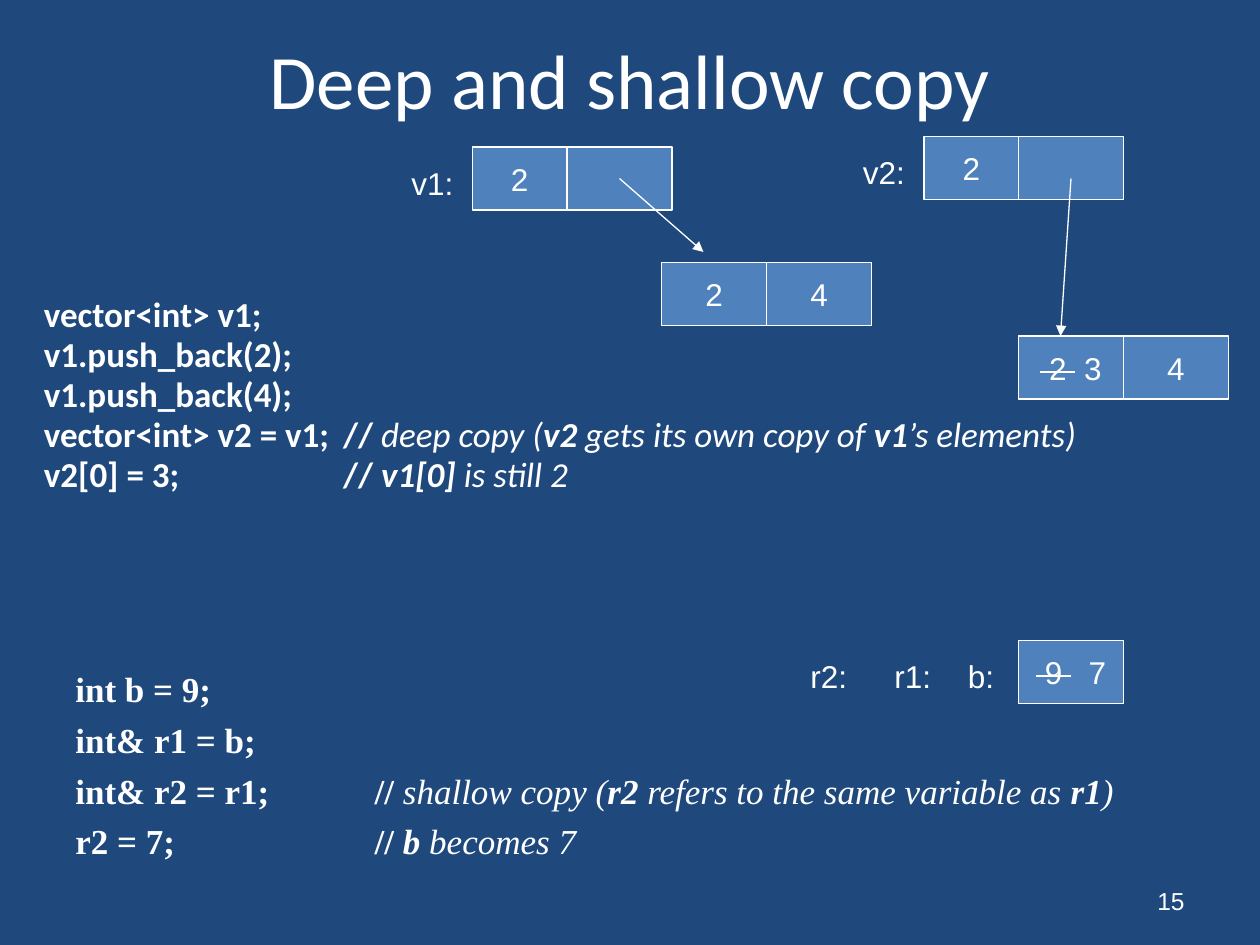
"""Build the slide that compares deep and shallow copies."""
from dataclasses import dataclass

from lxml.etree import SubElement
from pptx import Presentation
from pptx.dml.color import RGBColor
from pptx.enum.shapes import MSO_CONNECTOR as Line, MSO_SHAPE as Shape
from pptx.enum.text import MSO_ANCHOR as Anchor, MSO_AUTO_SIZE as AutoSize, PP_ALIGN as Align
from pptx.oxml.ns import qn
from pptx.util import Pt

COLORS = {"back": "1F497D", "cell": "4F81BD", "white": "FFFFFF"}
CELL_HEIGHT = 36
LABEL_WIDTH, LABEL_HEIGHT = 48, 28.8
INDENT = 27


@dataclass
class Span:
    text: str
    bold: bool = False
    italic: bool = False
    strike: bool = False


@dataclass
class Cell:
    left: float
    top: float
    spans: list[Span]
    width: float = 60


@dataclass
class Label:
    text: str
    left: float
    top: float


@dataclass
class Arrow:
    start: tuple[float, float]
    end: tuple[float, float]


@dataclass
class TextBox:
    place: tuple[float, float, float, float]
    lines: list[list[Span]]
    font: dict
    frame: dict
    para: dict
    code: bool = False


def color(name: str) -> RGBColor:
    return RGBColor.from_string(COLORS[name])


def apply(target, values: dict) -> None:
    for name, value in values.items():
        setattr(target, name, value)


def write(frame, lines: list[list[Span]], font: dict, para_format: dict, code: bool = False) -> None:
    for index, spans in enumerate(lines):
        para = frame.add_paragraph() if index else frame.paragraphs[0]
        apply(para, para_format)
        if code:
            properties = para._p.get_or_add_pPr()
            for name, value in {"marL": INDENT, "indent": -INDENT, "defTabSz": 72}.items():
                properties.set(name, str(Pt(value)))
        for span in spans:
            run = para.add_run()
            run.text = span.text
            apply(run.font, {**font, "bold": span.bold, "italic": span.italic})
            run.font.color.rgb = color("white")
            if span.strike:
                run._r.get_or_add_rPr().set("strike", "sngStrike")


def add_text(page, item: TextBox) -> None:
    box = page.shapes.add_textbox(*map(Pt, item.place))
    apply(box.text_frame, {"word_wrap": True, **item.frame})
    write(box.text_frame, item.lines, item.font, item.para, item.code)


def add_cell(page, cell: Cell) -> None:
    box = page.shapes.add_shape(
        Shape.RECTANGLE, Pt(cell.left), Pt(cell.top), Pt(cell.width), Pt(CELL_HEIGHT))
    box.shadow.inherit = False
    box.fill.solid()
    box.fill.fore_color.rgb = color("cell")
    box.line.color.rgb = color("white")
    box.line.width = Pt(0.75)
    apply(box.text_frame, {"word_wrap": False, "vertical_anchor": Anchor.MIDDLE})
    write(box.text_frame, [cell.spans], ARIAL, {"alignment": Align.CENTER})


def add_arrow(page, arrow: Arrow) -> None:
    line = page.shapes.add_connector(Line.STRAIGHT, *map(Pt, arrow.start + arrow.end))
    line.line.color.rgb = color("white")
    line.line.width = Pt(0.75)
    SubElement(line.line._get_or_add_ln(), qn("a:tailEnd"), type="triangle")
    SubElement(line._element.spPr, qn("a:effectLst"))


def add_label(page, label: Label) -> None:
    add_text(page, TextBox(
        (label.left, label.top, LABEL_WIDTH, LABEL_HEIGHT), [[Span(label.text)]], ARIAL,
        {"auto_size": AutoSize.SHAPE_TO_FIT_TEXT}, {}))


def bold(text: str) -> Span:
    return Span(text, bold=True)


def note(text: str) -> Span:
    return Span(text, italic=True)


def term(text: str) -> Span:
    return Span(text, bold=True, italic=True)


ARIAL = {"name": "Arial", "size": Pt(18)}
MIDDLE = {"vertical_anchor": Anchor.MIDDLE}

TEXTS = [
    TextBox((36, 0, 648, 90), [[Span("Deep and shallow copy")]],
            {"name": "Calibri", "size": Pt(44)}, MIDDLE, {"alignment": Align.CENTER}),
    TextBox((18, 168, 726, 150), [
        [bold("vector<int> v1;")],
        [bold("v1.push_back(2);")],
        [bold("v1.push_back(4);")],
        [bold("vector<int> v2 = v1;\t// "), note("deep copy ("), term("v2"),
         note(" gets its own copy of "), term("v1"), note("\u2019s elements)")],
        [bold("v2[0] = 3;\t\t// "), term("v1[0] "), note("is still 2")],
    ], {"name": "Calibri", "size": Pt(20)}, {},
        {"line_spacing": 0.8, "space_before": Pt(3.7)}, True),
    TextBox((36, 378, 648, 132), [
        [bold("int b = 9; ")],
        [bold("int& r1 = b;")],
        [bold("int& r2 = r1;\t// "), note("shallow copy ("), term("r2 "),
         note("refers to the same variable as"), term(" r1"), note(")")],
        [bold("r2 = 7;\t\t// "), term("b "), note("becomes 7")],
    ], {"name": "Times New Roman", "size": Pt(20)}, {}, {"space_before": Pt(5)}, True),
    TextBox((516, 500.4, 168, 28.8), [[Span("15")]],
            {"name": "Arial", "size": Pt(14)}, MIDDLE, {"alignment": Align.RIGHT}),
]
CELLS = [
    Cell(270, 84, [Span("2")], 54), Cell(324, 84, []),
    Cell(378, 150, [Span("2")]), Cell(438, 150, [Span("4")]),
    Cell(528, 78, [Span("2")], 54), Cell(582, 78, []),
    Cell(582, 192, [Span(" 2 ", strike=True), Span(" 3")]), Cell(642, 192, [Span("4")]),
    Cell(582, 366, [Span(" 9 ", strike=True), Span("  7")]),
]
LABELS = [
    Label("v1:", 228, 90), Label("v2:", 486, 84),
    Label("r2:", 456, 372), Label("r1:", 504, 372), Label("b:", 546, 372),
]
ARROWS = [Arrow((354, 102), (402, 144)), Arrow((612, 102), (606, 192))]

deck = Presentation()
apply(deck, {"slide_width": Pt(720), "slide_height": Pt(540)})
page = deck.slides.add_slide(deck.slide_layouts[6])
page.background.fill.solid()
page.background.fill.fore_color.rgb = color("back")
for draw, items in ((add_text, TEXTS), (add_cell, CELLS), (add_label, LABELS), (add_arrow, ARROWS)):
    for item in items:
        draw(page, item)
deck.save("out.pptx")
